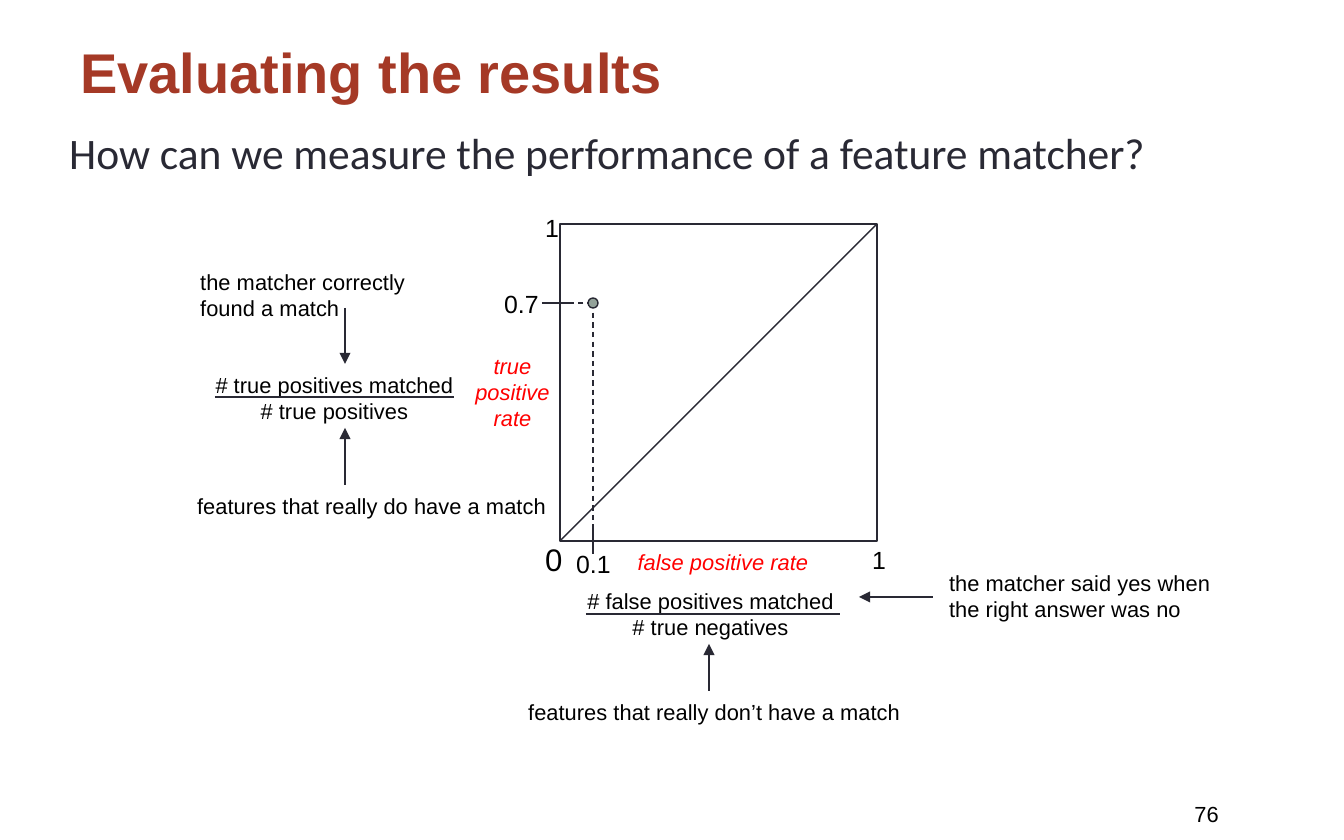
from pptx import Presentation
from pptx.dml.color import RGBColor
from pptx.enum.dml import MSO_LINE
from pptx.enum.shapes import MSO_CONNECTOR, MSO_SHAPE
from pptx.enum.text import MSO_ANCHOR, PP_ALIGN
from pptx.oxml.ns import qn
from pptx.util import Emu, Pt
from lxml import etree

EMU_PER_PX = 914400 / 134.4
INK, BLACK, RED, RUST, SAGE = "292934", "000000", "FF0000", "A53926", "93A299"
LEFT, CENTER, RIGHT = PP_ALIGN.LEFT, PP_ALIGN.CENTER, PP_ALIGN.RIGHT

# Plot frame and the marked point
PLOT_LEFT, PLOT_TOP, PLOT_SIDE = 560, 224, 317
PLOT_RIGHT, PLOT_BOTTOM = PLOT_LEFT + PLOT_SIDE, PLOT_TOP + PLOT_SIDE
POINT_X, POINT_Y = 593, 303
TICK_LEFT, TICK_BOTTOM = 542, 554
TICK_LENGTH, POINT_SIZE = 28, 10


def px(length):
    return Emu(round(length * EMU_PER_PX))


def color(value):
    return RGBColor.from_string(value)


def add_text(shapes, text, left, top, width, height, size=11.7, fill=BLACK,
             align=LEFT, font="Arial", bold=False, italic=False, wrap=True):
    """Add a text box; a vertical tab in the text is a line break."""
    shape = shapes.add_textbox(px(left), px(top), px(width), px(height))
    frame = shape.text_frame
    frame.word_wrap = wrap
    frame.text = text
    for paragraph in frame.paragraphs:
        paragraph.alignment = align
        for run in paragraph.runs:
            run.font.name = font
            run.font.size = Pt(size)
            run.font.bold = bold
            run.font.italic = italic
            run.font.color.rgb = color(fill)
    return shape


def add_line(shapes, start, end, width=0.75, dashed=False, arrow=False):
    line = shapes.add_connector(MSO_CONNECTOR.STRAIGHT, px(start[0]), px(start[1]),
                                px(end[0]), px(end[1]))
    line.line.color.rgb = color(INK)
    line.line.width = Pt(width)
    if dashed:
        line.line.dash_style = MSO_LINE.DASH
    if arrow:
        outline = line.line._get_or_add_ln()
        etree.SubElement(outline, qn("a:tailEnd"), type="triangle")
    etree.SubElement(line._element.spPr, qn("a:effectLst"))


def add_outline(shapes, preset, left, top, side, fill=None):
    shape = shapes.add_shape(preset, px(left), px(top), px(side), px(side))
    shape.shadow.inherit = False
    shape.line.color.rgb = color(INK)
    shape.line.width = Pt(0.75)
    if fill:
        shape.fill.solid()
        shape.fill.fore_color.rgb = color(fill)
    else:
        shape.fill.background()


def add_fraction(shapes, above, below, left, top, width, bar_left, bar_right, bar_y):
    """Group two centred lines of text with the bar between them."""
    group = shapes.add_group_shape()
    add_text(group.shapes, f"{above}\n{below}", left, top, width, 66, align=CENTER)
    add_line(group.shapes, (bar_left, bar_y), (bar_right, bar_y), 1.5)


def add_plot(shapes):
    point = (POINT_X, POINT_Y)
    # Dashed guides, frame and diagonal
    add_line(shapes, point, (TICK_LEFT, POINT_Y), dashed=True)
    add_line(shapes, point, (POINT_X, TICK_BOTTOM), dashed=True)
    add_outline(shapes, MSO_SHAPE.RECTANGLE, PLOT_LEFT, PLOT_TOP, PLOT_SIDE)
    add_line(shapes, (PLOT_LEFT, PLOT_BOTTOM), (PLOT_RIGHT, PLOT_TOP))
    # Point and ticks
    add_outline(shapes, MSO_SHAPE.OVAL, POINT_X - POINT_SIZE / 2,
                POINT_Y - POINT_SIZE / 2, POINT_SIZE, SAGE)
    add_line(shapes, (POINT_X, TICK_BOTTOM - TICK_LENGTH), (POINT_X, TICK_BOTTOM), 1.5)
    add_line(shapes, (TICK_LEFT, POINT_Y), (TICK_LEFT + TICK_LENGTH, POINT_Y), 1.5)
    # Axis values
    for text, left, top, width, size in (
            ("0", 532, 534, 56, 16.7), ("1", 859, 538, 38, 13.3),
            ("1", 532, 206, 38, 13.3), ("0.7", 491, 282, 93, 13.3),
            ("0.1", 563, 542, 93, 13.3)):
        add_text(shapes, text, left, top, width, 44, size)
    # Axis names
    add_text(shapes, "false positive rate", 513, 542, 420, 40,
             fill=RED, align=CENTER, italic=True)
    add_text(shapes, "true\vpositive\vrate", 438, 346, 149, 94,
             fill=RED, align=CENTER, italic=True)


def add_explanations(shapes):
    add_fraction(shapes, "# true positives matched", "# true positives",
                 192, 365, 285, 215, 454, 397)
    add_fraction(shapes, "# false positives matched", "# true negatives",
                 562, 581, 297, 586, 840, 614)
    for text, left, top, width, height in (
            ("the matcher correctly\vfound a match", 187, 262, 233, 66),
            ("features that really do have a match", 184, 486, 378, 40),
            ("features that really don’t have a match", 515, 692, 407, 40),
            ("the matcher said yes when\vthe right answer was no", 936, 563, 296, 66)):
        add_text(shapes, text, left, top, width, height, wrap=False)
    for start, end in (((345, 308), (345, 364)), ((345, 485), (345, 428)),
                       ((933, 597), (859, 597)), ((709, 691), (709, 644))):
        add_line(shapes, start, end, 1, arrow=True)


def main():
    presentation = Presentation()
    presentation.slide_width, presentation.slide_height = px(1344), px(840)
    slide = presentation.slides.add_slide(presentation.slide_layouts[6])
    shapes = slide.shapes

    # Heading and question
    title = add_text(shapes, "Evaluating the results", 67, 26, 1142, 90, 30, RUST, bold=True)
    title.text_frame.vertical_anchor = MSO_ANCHOR.MIDDLE
    add_text(shapes, "How can we measure the performance of a feature matcher?",
             56, 119, 1160, 50, 23.3, INK, font="Calibri")

    add_plot(shapes)
    add_explanations(shapes)

    # Slide number
    add_text(shapes, "76", 915, 794, 317, 31, align=RIGHT)
    presentation.save("out.pptx")


if __name__ == "__main__":
    main()
